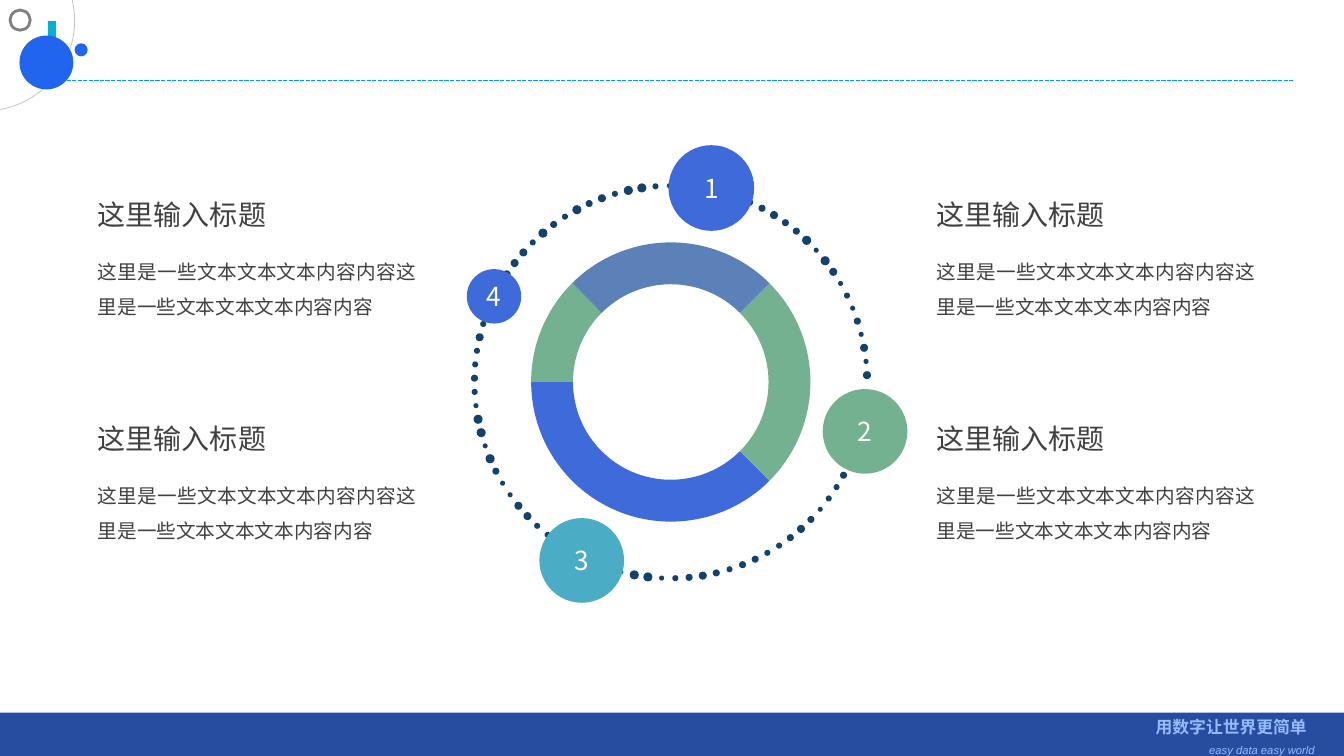
import math

import lxml.etree
import pptx
import pptx.dml.color
import pptx.enum.dml
import pptx.enum.shapes
import pptx.enum.text
import pptx.oxml.ns
import pptx.util

COLORS = {
    "cyan": "00B1D4", "rule": "009EE7", "bright": "2164ED", "footer": "274DA1",
    "motto": "98BAFF", "pale": "BFBFBF", "gray": "808080", "green": "74B191",
    "blue": "3E6BD9", "steel": "5B81B8", "navy": "13436C", "ink": "1F497D",
    "teal": "4BACC6", "text": "404040", "white": "FFFFFF",
}
COLUMNS, ROWS = 1333, 750
CELL = pptx.util.Inches(0.01)
CENTER = (665.3, 379)
ORBIT, RING_OUTER, RING_INNER, RING_STEP = 194.7, 138.5, 97, 45
DOT_SIZES = ("85857565895977877678585689687967968888776866765995"
             "975588669686659956787677667875667858796866")
INK_DOTS = {18, 19, 84, 85, 86, 87}
OUTLINED_DOT = 24
DOT_COUNT = 89
CJK = "Noto Sans CJK SC"
SHAPES = pptx.enum.shapes.MSO_SHAPE
ALIGN = pptx.enum.text.PP_ALIGN
TITLE = "这里输入标题"
BODY = "这里是一些文本文本文本内容内容这里是一些文本文本文本内容内容"
HEADING_FORMAT = {"size": pptx.util.Pt(20), "name": CJK}
BODY_FORMAT = {"size": pptx.util.Pt(14), "name": CJK}
NUMBER_FORMAT = {"size": pptx.util.Pt(18.7), "name": CJK}
MOTTO_FORMAT = {"size": pptx.util.Pt(12), "name": "Arial", "bold": True}
TAGLINE_FORMAT = {"size": pptx.util.Pt(8), "name": "Arial", "italic": True}


def cells(*counts):
    """Turn counts of grid cells into lengths."""
    return [pptx.util.Emu(round(count * CELL)) for count in counts]


def rgb(color):
    """Look up a colour by name."""
    return pptx.dml.color.RGBColor.from_string(COLORS[color])


def paint(shape, fill=None, line=None, weight=1):
    """Give a shape its fill and outline, without a shadow."""
    shape.shadow.inherit = False
    if fill:
        shape.fill.solid()
        shape.fill.fore_color.rgb = rgb(fill)
    else:
        shape.fill.background()
    if line:
        shape.line.color.rgb = rgb(line)
        shape.line.width = pptx.util.Pt(weight)
    else:
        shape.line.fill.background()


def add_preset(slide, kind, box, **look):
    """Add a painted preset shape on the grid."""
    shape = slide.shapes.add_shape(kind, *cells(*box))
    paint(shape, **look)
    return shape


def write(paragraph, text, formats, color, align):
    """Write one formatted run into a paragraph."""
    paragraph.alignment = align
    run = paragraph.add_run()
    run.text = text
    for attribute, value in formats.items():
        setattr(run.font, attribute, value)
    run.font.color.rgb = rgb(color)
    east_asian = lxml.etree.SubElement(
        run._r.get_or_add_rPr(), pptx.oxml.ns.qn("a:ea"))
    east_asian.set("typeface", CJK)


def add_text_frame(slide, box, **settings):
    """Add a wrapping text box and return its frame."""
    frame = slide.shapes.add_textbox(*cells(*box)).text_frame
    settings = {"word_wrap": True,
                "auto_size": pptx.enum.text.MSO_AUTO_SIZE.SHAPE_TO_FIT_TEXT,
                **settings}
    for attribute, value in settings.items():
        setattr(frame, attribute, value)
    return frame


def add_header(slide):
    """Draw the corner decoration and the dashed rule."""
    add_preset(slide, SHAPES.RECTANGLE, (47.5, 21, 8, 59), fill="cyan")
    rule = slide.shapes.add_connector(
        pptx.enum.shapes.MSO_CONNECTOR.STRAIGHT, *cells(55, 80, 1283, 80))
    rule.line.color.rgb = rgb("rule")
    rule.line.width = pptx.util.Pt(1)
    rule.line.dash_style = pptx.enum.dml.MSO_LINE.SQUARE_DOT
    lxml.etree.SubElement(rule._element.spPr, pptx.oxml.ns.qn("a:effectLst"))
    orbit = add_preset(slide, SHAPES.ARC, (-105, -69, 179, 179),
                       line="pale", weight=0.5)
    for index, degrees in enumerate((268, 109)):
        orbit.adjustments[index] = degrees * 0.6
    add_preset(slide, SHAPES.OVAL, (20, 36, 52, 52), fill="bright", line="bright")
    add_preset(slide, SHAPES.OVAL, (74, 43, 13, 13), fill="bright")
    add_preset(slide, SHAPES.OVAL, (10, 10, 20, 20), line="gray", weight=2)


def add_footer(slide):
    """Draw the footer band with its motto."""
    add_preset(slide, SHAPES.RECTANGLE, (0, 707, COLUMNS, 43), fill="footer")
    frame = add_text_frame(slide, (1136, 706, 178, 44))
    motto, tagline = frame.paragraphs[0], frame.add_paragraph()
    write(motto, "用数字让世界更简单", MOTTO_FORMAT, "motto", ALIGN.RIGHT)
    write(tagline, "easy data easy world", TAGLINE_FORMAT, "motto", ALIGN.RIGHT)
    tagline.space_before = pptx.util.Pt(5)
    for paragraph, indent in ((motto, 8), (tagline, 0)):
        paragraph._p.get_or_add_pPr().set("marR", str(indent * CELL))


def polar(radius, degrees):
    """Find the grid point at an angle around the ring's centre."""
    angle = math.radians(degrees)
    return (CENTER[0] + radius * math.cos(angle),
            CENTER[1] - radius * math.sin(angle))


def bend(edge, shape, radius, start, end):
    """Turn a straight edge of the ring into a circular curve."""
    reach = 4 / 3 * math.tan(math.radians(end - start) / 4)
    swing = math.degrees(math.atan(reach))
    handles = (start + swing, end - swing)
    edge.tag = pptx.oxml.ns.qn("a:cubicBezTo")
    for index, angle in enumerate(handles):
        x, y = cells(*polar(radius * math.hypot(1, reach), angle))
        handle = lxml.etree.Element(pptx.oxml.ns.qn("a:pt"))
        handle.set("x", str(x - shape.left))
        handle.set("y", str(y - shape.top))
        edge.insert(index, handle)


def add_ring_segment(slide, start, end, color):
    """Draw one segment of the ring between two angles."""
    angles = range(start, end + 1, RING_STEP)
    corners = [(RING_OUTER, angle) for angle in angles]
    corners += [(RING_INNER, angle) for angle in reversed(angles)]
    outline = [cells(*polar(*corner)) for corner in corners]
    builder = slide.shapes.build_freeform(*outline[0])
    builder.add_line_segments(outline[1:], close=True)
    segment = builder.convert_to_shape()
    edges = list(segment._element.iter(pptx.oxml.ns.qn("a:lnTo")))
    for edge, (radius, first), (next_radius, last) in zip(edges, corners, corners[1:]):
        if radius == next_radius:
            bend(edge, segment, radius, first, last)
    paint(segment, fill=color)


def add_dotted_orbit(slide):
    """Spread the dots evenly around the ring."""
    for index, size in enumerate(map(int, DOT_SIZES[:DOT_COUNT])):
        x, y = polar(ORBIT, 2 + 4.02 * index)
        add_preset(slide, SHAPES.OVAL, (x - size / 2, y - size / 2, size, size),
                   fill="ink" if index in INK_DOTS else "navy",
                   line="navy" if index == OUTLINED_DOT else None, weight=0.75)


def add_number(slide, number, left, top, size, color):
    """Draw a numbered disc."""
    disc = add_preset(slide, SHAPES.OVAL, (left, top, size, size), fill=color)
    disc.text_frame.vertical_anchor = pptx.enum.text.MSO_ANCHOR.MIDDLE
    write(disc.text_frame.paragraphs[0], str(number), NUMBER_FORMAT,
          "white", ALIGN.CENTER)


def add_topic(slide, left, top):
    """Write a heading with its paragraph below."""
    margins = {f"margin_{side}": 0 for side in ("left", "top", "right", "bottom")}
    heading = add_text_frame(slide, (left, top, 505, 34), **margins)
    write(heading.paragraphs[0], TITLE, HEADING_FORMAT, "text", ALIGN.JUSTIFY)
    body = add_text_frame(slide, (left, top + 50, 316, 65), **margins)
    body.paragraphs[0].line_spacing = 1.5
    write(body.paragraphs[0], BODY, BODY_FORMAT, "text", ALIGN.JUSTIFY)


def main():
    """Build the slide and save it."""
    deck = pptx.Presentation()
    deck.slide_width, deck.slide_height = cells(COLUMNS, ROWS)
    slide = deck.slides.add_slide(deck.slide_layouts[6])
    add_header(slide)
    add_footer(slide)
    for start, end, color in ((135, 180, "green"), (180, 315, "blue"),
                              (-45, 45, "green"), (45, 135, "steel")):
        add_ring_segment(slide, start, end, color)
    add_dotted_orbit(slide)
    discs = ((663, 144, 85, "blue"), (816, 386, 84, "green"),
             (535, 514, 84, "teal"), (463, 267, 54, "blue"))
    for number, disc in enumerate(discs, 1):
        add_number(slide, number, *disc)
    for left in (929, 97):
        for top in (196, 418):
            add_topic(slide, left, top)
    deck.save("out.pptx")


if __name__ == "__main__":
    main()
